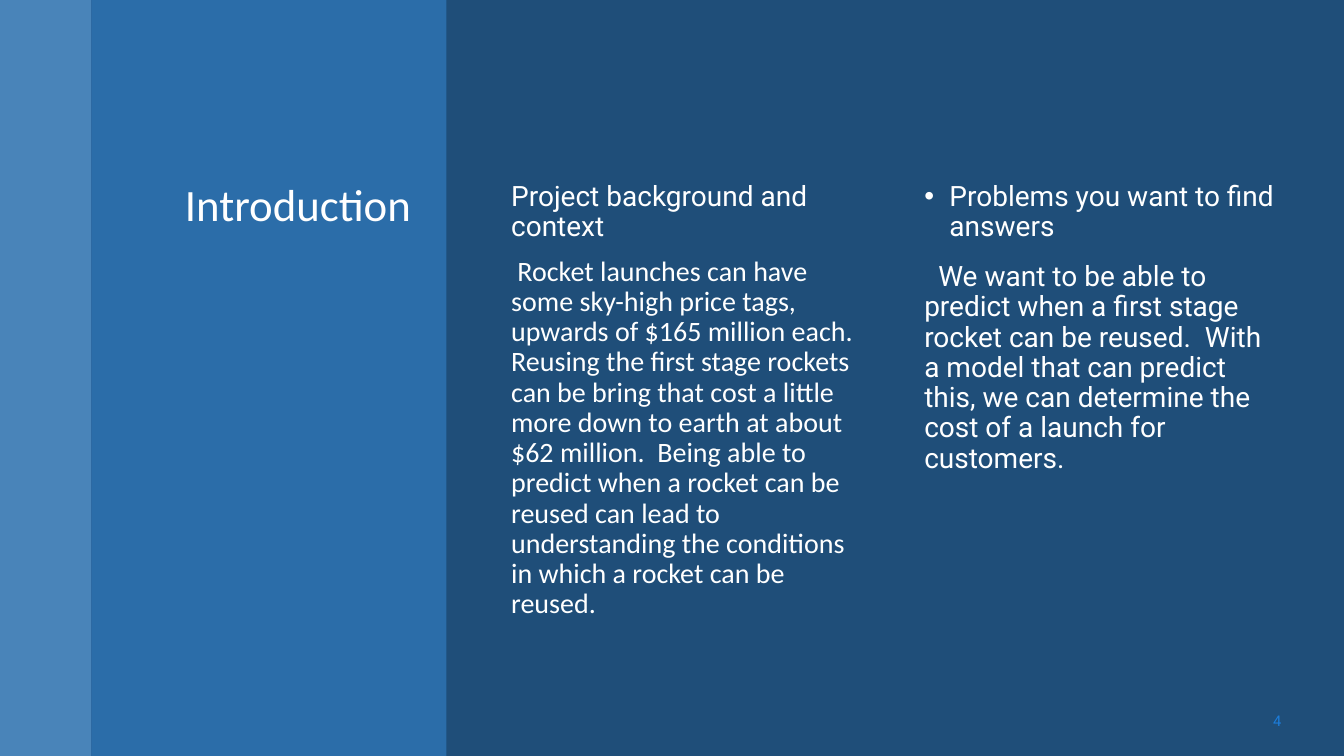
from lxml import etree
from pptx import Presentation
from pptx.dml.color import RGBColor
from pptx.enum.shapes import MSO_SHAPE
from pptx.enum.text import MSO_ANCHOR, MSO_AUTO_SIZE, PP_ALIGN
from pptx.oxml.ns import qn
from pptx.util import Pt

RECT = MSO_SHAPE.RECTANGLE
TOP, MIDDLE = MSO_ANCHOR.TOP, MSO_ANCHOR.MIDDLE
NO_FIT = MSO_AUTO_SIZE.NONE
LEFT, RIGHT = PP_ALIGN.LEFT, PP_ALIGN.RIGHT

NAVY = RGBColor(0x1F, 0x4E, 0x79)
LIGHT_BLUE = RGBColor(0x5B, 0x9B, 0xD5)
MID_BLUE = RGBColor(0x2E, 0x75, 0xB6)
NUMBER_BLUE = RGBColor(0x1C, 0x7D, 0xDB)
WHITE = RGBColor(0xFF, 0xFF, 0xFF)

SLIDE_W, SLIDE_H = 960, 540
TEXT_TOP, TEXT_H = 126.7, 354.2
COLUMN_W = 269.3

# width, colour, opacity in percent; laid side by side from the left edge
PANELS = [(65.3, LIGHT_BLUE, 70), (253.6, MID_BLUE, 80)]

TITLE = "Introduction"
TITLE_FORMAT = {"name": "Calibri", "size": Pt(32)}
ROBOTO = {"name": "Roboto", "size": Pt(20)}
CALIBRI = {"name": "Calibri", "size": Pt(20)}

# paragraphs: text, font, left margin, first-line indent, bullet
COLUMNS = [
    {"left": 357.9, "gap": 10, "paragraphs": [
        ("Project background and context", ROBOTO, 0, 0, None),
        ("Rocket launches can have some sky-high price tags, upwards of $165 million each.  "
         "Reusing the first stage rockets can be bring that cost a little more down to earth "
         "at about $62 million.  Being able to predict when a rocket can be reused can lead to "
         "understanding the conditions in which a rocket can be reused.", CALIBRI, 0, 4.5, None),
    ]},
    {"left": 653, "gap": 14, "paragraphs": [
        ("Problems you want to find answers", ROBOTO, 18, -18, "•"),
        ("We want to be able to predict when a first stage rocket can be reused.  "
         "With a model that can predict this, we can determine the cost of a launch "
         "for customers.", ROBOTO, 0, 10, None),
    ]},
]

SLIDE_NUMBER = "4"
NUMBER_FORMAT = {"name": "Roboto", "size": Pt(10.5)}
NUMBER_BOX = (815, 500.4, 107.3, 28.8)


def place(shape, left, top, width, height):
    shape.left, shape.top = Pt(left), Pt(top)
    shape.width, shape.height = Pt(width), Pt(height)


def set_frame(tf, anchor):
    for name, value in {"word_wrap": True, "auto_size": NO_FIT,
                        "vertical_anchor": anchor}.items():
        setattr(tf, name, value)


def write(p, text, font, color, align=LEFT, line_spacing=0.9, before=0):
    p.alignment, p.line_spacing, p.space_before = align, line_spacing, Pt(before)
    r = p.add_run()
    r.text = text
    for name, value in font.items():
        setattr(r.font, name, value)
    r.font.color.rgb = color


def set_bullet(p, margin, indent, bullet):
    pPr = p._p.get_or_add_pPr()
    pPr.set("marL", str(Pt(margin)))
    pPr.set("indent", str(Pt(indent)))
    if bullet:
        etree.SubElement(pPr, qn("a:buFont"), typeface="Arial")
        etree.SubElement(pPr, qn("a:buChar"), char=bullet)
    else:
        etree.SubElement(pPr, qn("a:buNone"))


prs = Presentation()
prs.slide_width, prs.slide_height = Pt(SLIDE_W), Pt(SLIDE_H)
s = prs.slides.add_slide(prs.slide_layouts[3])
s.background.fill.solid()
s.background.fill.fore_color.rgb = NAVY

title, *bodies = s.placeholders

x = 0
for width, color, opacity in PANELS:
    panel = s.shapes.add_shape(RECT, Pt(x), 0, Pt(width), Pt(SLIDE_H))
    panel.shadow.inherit = False
    panel.line.fill.background()
    panel.fill.solid()
    panel.fill.fore_color.rgb = color
    rgb = panel._element.spPr.find(f"{qn('a:solidFill')}/{qn('a:srgbClr')}")
    etree.SubElement(rgb, qn("a:alpha"), val=str(opacity * 1000))
    title._element.addprevious(panel._element)  # panels lie behind the text
    x += width

place(title, 78.5, TEXT_TOP, 222.5, TEXT_H)
set_frame(title.text_frame, TOP)
write(title.text_frame.paragraphs[0], TITLE, TITLE_FORMAT, WHITE, RIGHT)

for body, column in zip(bodies, COLUMNS):
    place(body, column["left"], TEXT_TOP, COLUMN_W, TEXT_H)
    tf = body.text_frame
    set_frame(tf, TOP)
    for i, (text, font, margin, indent, bullet) in enumerate(column["paragraphs"]):
        p = tf.add_paragraph() if i else tf.paragraphs[0]
        set_bullet(p, margin, indent, bullet)
        write(p, text, font, WHITE, before=column["gap"] if i else 0)

number = s.shapes.add_textbox(*map(Pt, NUMBER_BOX))
set_frame(number.text_frame, MIDDLE)
p = number.text_frame.paragraphs[0]
write(p, SLIDE_NUMBER, NUMBER_FORMAT, NUMBER_BLUE, RIGHT, 1.0)
p.space_after = Pt(6)

prs.save("out.pptx")
